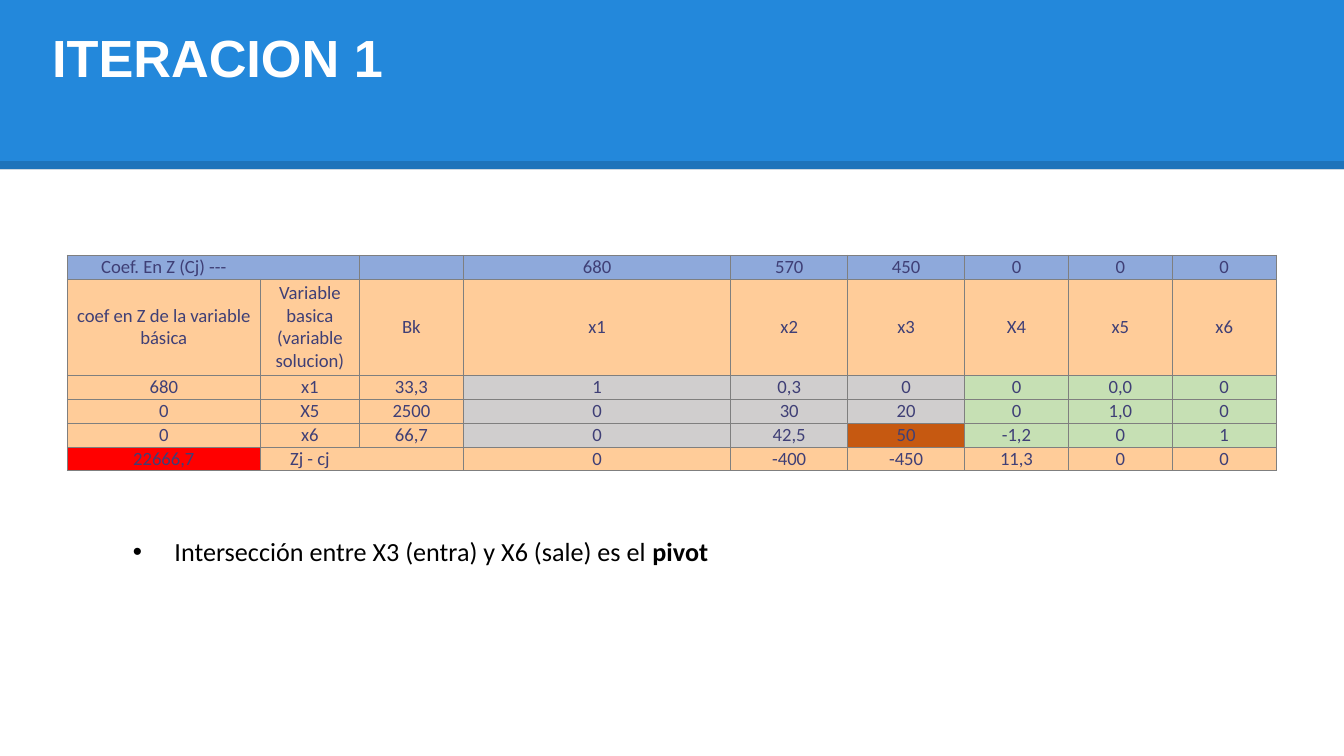
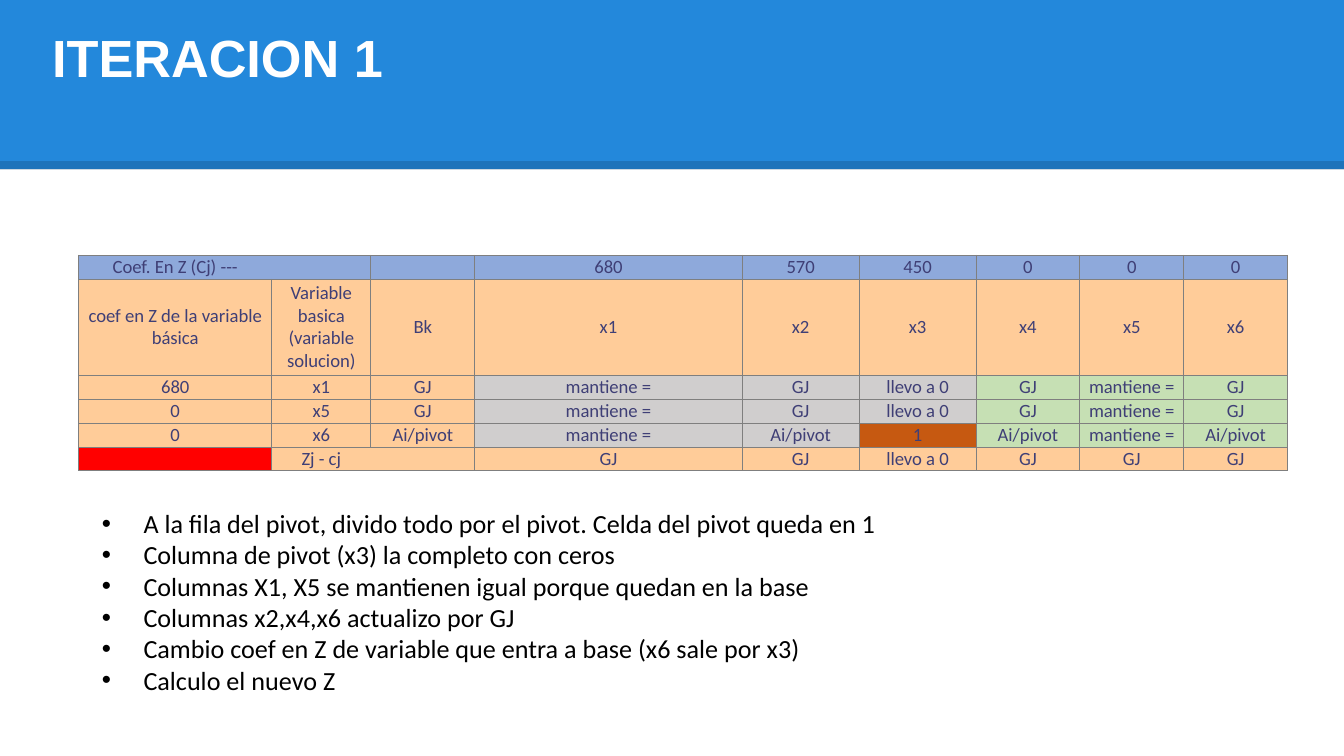
from lxml.etree import SubElement as Sub
from pptx import Presentation
from pptx.dml.color import RGBColor as RGB
from pptx.enum.shapes import MSO_CONNECTOR as Conn, MSO_SHAPE as Kind
from pptx.enum.text import MSO_ANCHOR as Anchor, PP_ALIGN as Align
from pptx.oxml.ns import qn
from pptx.util import Inches, Pt


def hue(code):
    return RGB.from_string(code)


def style(font, size, code, name="Calibri", bold=False):
    font.size, font.name, font.bold = Pt(size), name, bold
    font.color.rgb = hue(code)


BLUE, SAND, GREY, LEAF = "8EA9DB", "FFCC99", "D0CECE", "C6E0B4"
RUST, RED, EDGE, INK = "C65911", "FF0000", "7F7F7F", "3F3F76"

deck = Presentation()
wide = Inches(10)
deck.slide_width, deck.slide_height = wide, wide * 9 // 16
unit = wide // 100

cols = [14.37, 7.38, 7.73, 19.9, 8.7, 8.7] + [7.73] * 3
rows = [1.78, 7.14] + [1.78] * 4
fills = [
    [BLUE] * 9,
    [SAND] * 9,
    *[[SAND] * 3 + [GREY] * 3 + [LEAF] * 3 for _ in range(3)],
    [RED] + [SAND] * 8,
]
fills[4][5] = RUST
joins = {(0, 0), (5, 1)}

top = ["Coef. En Z (Cj) ---", "", "", "680", "570", "450", "0", "0", "0"]
head = ["coef en Z de la variable básica", "Variable basica (variable solucion)", "Bk",
        "x1", "x2", "x3"]
keep, zero, by = "mantiene =", "llevo a 0", "Ai/pivot"
pages = [
    {
        "left": 5,
        "grid": [
            top,
            head + ["X4", "x5", "x6"],
            ["680", "x1", "33,3", "1", "0,3", "0", "0", "0,0", "0"],
            ["0", "X5", "2500", "0", "30", "20", "0", "1,0", "0"],
            ["0", "x6", "66,7", "0", "42,5", "50", "-1,2", "0", "1"],
            ["22666,7", "Zj - cj", "", "0", "-400", "-450", "11,3", "0", "0"],
        ],
        "note": (8.9, 39.35, 3.4),
        "lines": [["Intersección entre X3 (entra) y X6 (sale) es el ", "pivot"]],
    },
    {
        "left": 5.85,
        "grid": [
            top,
            head + ["x4", "x5", "x6"],
            ["680", "x1", "GJ", keep, "GJ", zero, "GJ", keep, "GJ"],
            ["0", "x5", "GJ", keep, "GJ", zero, "GJ", keep, "GJ"],
            ["0", "x6", by, keep, by, "1", by, keep, by],
            ["", "Zj - cj", "", "GJ", "GJ", zero, "GJ", "GJ", "GJ"],
        ],
        "note": (6.6, 37.25, 17.5),
        "lines": [
            ["A la fila del pivot, divido todo por el pivot. Celda del pivot queda en 1"],
            ["Columna de pivot (x3) la completo con ceros"],
            ["Columnas X1, X5 se mantienen igual porque quedan en la base"],
            ["Columnas x2,x4,x6 actualizo por GJ"],
            ["Cambio coef en Z de variable que entra a base (x6 sale por x3)"],
            ["Calculo el nuevo Z"],
        ],
    },
]

for page in pages:
    shapes = deck.slides.add_slide(deck.slide_layouts[6]).shapes

    band = shapes.add_shape(Kind.RECTANGLE, 0, 0, wide, int(12.6 * unit))
    band.shadow.inherit = False
    band.fill.solid()
    band.fill.fore_color.rgb = hue("2388DB")
    band.line.fill.background()

    y = int(12.3 * unit)
    rule = shapes.add_connector(Conn.STRAIGHT, 0, y, wide, y)
    rule.line.width = Pt(4.5)
    rule.line.color.rgb = hue("000000")
    props = rule._element.spPr
    Sub(props.find(".//" + qn("a:srgbClr")), qn("a:alpha"), val="14000")
    Sub(props, qn("a:effectLst"))

    title = shapes.add_textbox(int(2.9 * unit), int(1.4 * unit),
                               int(91.2 * unit), int(19.9 * unit))
    frame = title.text_frame
    frame.word_wrap = True
    frame.text = "ITERACION 1"
    style(frame.paragraphs[0].font, 28, "FFFFFF", "Arial", True)

    table = shapes.add_table(len(rows), len(cols), int(page["left"] * unit), 19 * unit,
                             int(sum(cols) * unit), int(sum(rows) * unit)).table
    table.first_row = table.horz_banding = False
    for c, size in enumerate(cols):
        table.columns[c].width = int(size * unit)
    for r, size in enumerate(rows):
        table.rows[r].height = int(size * unit)
        for c, text in enumerate(page["grid"][r]):
            cell = table.cell(r, c)
            cell.text = text
            cell.vertical_anchor = Anchor.MIDDLE
            cell.margin_left = cell.margin_right = cell.margin_top = cell.margin_bottom = 0
            para = cell.text_frame.paragraphs[0]
            para.alignment = Align.CENTER
            style(para.font, 10, INK)
            Sub(para._p, qn("a:endParaRPr"), sz="1000")
            props = cell._tc.get_or_add_tcPr()
            for side in "LRTB":
                line = Sub(props, qn("a:ln" + side), w="6350")
                if (side, r, c) in {(s, i, j + (s == "L")) for i, j in joins for s in "LR"}:
                    Sub(line, qn("a:noFill"))
                else:
                    Sub(Sub(line, qn("a:solidFill")), qn("a:srgbClr"), val=EDGE)
            cell.fill.solid()
            cell.fill.fore_color.rgb = hue(fills[r][c])

    left, high, tall = page["note"]
    note = shapes.add_textbox(int(left * unit), int(high * unit), int(72.6 * unit),
                              int(tall * unit))
    frame = note.text_frame
    frame.word_wrap = True
    for n, parts in enumerate(page["lines"]):
        para = frame.add_paragraph() if n else frame.paragraphs[0]
        for part in parts:
            run = para.add_run()
            run.text = part
            if part == "pivot":
                run.font.bold = True
        props = para._p.get_or_add_pPr()
        props.set("marL", str(int(3.1 * unit)))
        props.set("indent", str(int(-3.1 * unit)))
        Sub(props, qn("a:buFont"), typeface="Arial")
        Sub(props, qn("a:buChar"), char="•")
        style(para.font, 14, "000000")

deck.save("out.pptx")
